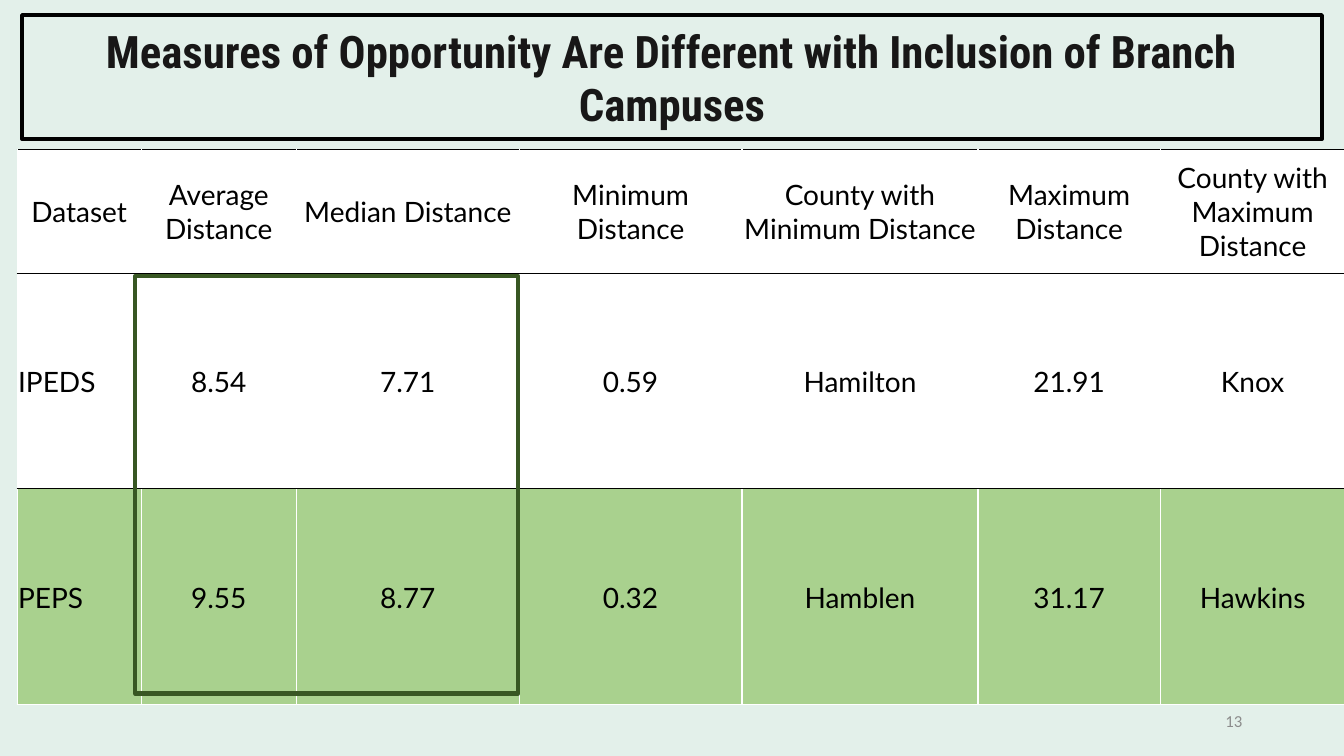
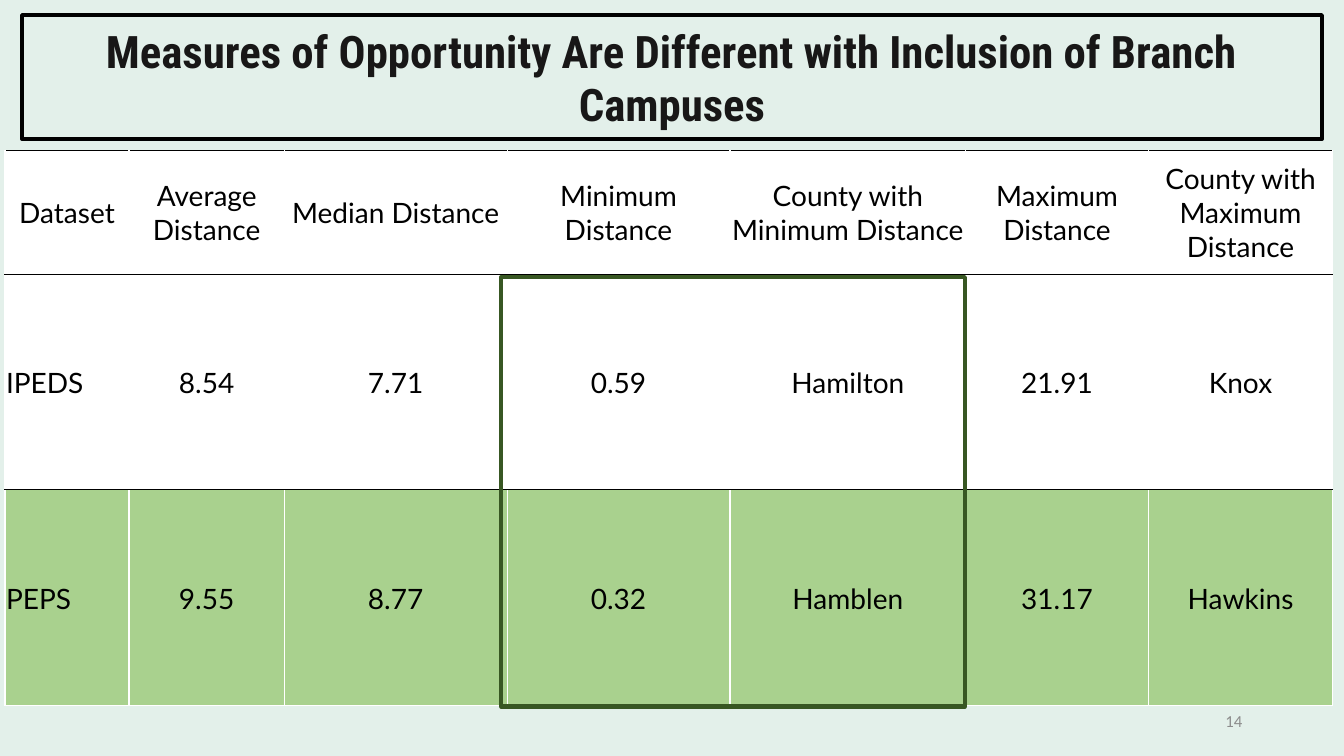
import lxml.etree
import pptx
import pptx.dml.color
import pptx.enum.shapes
import pptx.enum.text
import pptx.oxml.ns
import pptx.util

Inches, Pt = pptx.util.Inches, pptx.util.Pt
qn = pptx.oxml.ns.qn
ALIGN = pptx.enum.text.PP_ALIGN
MIDDLE = pptx.enum.text.MSO_ANCHOR.MIDDLE

COLORS = {
    "background": "E3F0EA",
    "title": "181717",
    "black": "000000",
    "white": "FFFFFF",
    "number": "8C8C8C",
    "row": "A9D18E",
    "highlight": "385723",
}
TITLE = "Measures of Opportunity Are Different with Inclusion of Branch Campuses"
ROWS = [
    ["Dataset", "Average Distance", "Median Distance", "Minimum Distance",
     "County with Minimum Distance", "Maximum Distance", "County with Maximum Distance"],
    ["IPEDS", "8.54", "7.71", "0.59", "Hamilton", "21.91", "Knox"],
    ["PEPS", "9.55", "8.77", "0.32", "Hamblen", "31.17", "Hawkins"],
]
COL_WIDTHS = [1.23, 1.54, 2.21, 2.21, 2.34, 1.81, 1.83]
ROW_HEIGHTS = [1.23, 2.14, 2.14]
# columns: first highlighted column and the one after the last
SLIDES = [
    {"number": "13", "table_at": (0.17, 1.48), "columns": (1, 3), "box_height": 4.14},
    {"number": "14", "table_at": (0.05, 1.49), "columns": (3, 5), "box_height": 4.26},
]


def rgb(name):
    return pptx.dml.color.RGBColor.from_string(COLORS[name])


def box(left, top, width, height):
    return [Inches(v) for v in (left, top, width, height)]


def write(tf, text, font, size, color, bold=False, align=ALIGN.CENTER):
    tf.word_wrap = True
    p = tf.paragraphs[0]
    p.alignment = align
    r = p.add_run()
    r.text = text
    r.font.name, r.font.size, r.font.bold = font, Pt(size), bold
    r.font.color.rgb = rgb(color)


def outline(sp, color):
    sp.line.color.rgb = rgb(color)
    sp.line.width = Pt(3)


def set_borders(cell, **sides):
    """Add 1 pt cell borders; call before the cell gets its fill."""
    tc_pr = cell._tc.get_or_add_tcPr()
    for side in ("L", "R", "T", "B"):
        ln = lxml.etree.SubElement(tc_pr, qn("a:ln" + side), w=str(Pt(1)))
        fill = lxml.etree.SubElement(ln, qn("a:solidFill"))
        lxml.etree.SubElement(fill, qn("a:srgbClr"), val=COLORS[sides[side]])


def add_title(s):
    sp = s.shapes.title
    sp.left, sp.top, sp.width, sp.height = box(0.22, 0.15, 12.89, 1.23)
    outline(sp, "black")
    tf = sp.text_frame
    tf.auto_size = pptx.enum.text.MSO_AUTO_SIZE.NONE
    tf.vertical_anchor = MIDDLE
    write(tf, TITLE, "Roboto Condensed", 32, "title", bold=True)


def add_number(s, number):
    tf = s.shapes.add_textbox(*box(9.42, 6.95, 3, 0.4)).text_frame
    tf.vertical_anchor = MIDDLE
    write(tf, number, "Calibri", 12, "number", align=ALIGN.RIGHT)


def add_distances(s, left, top):
    frame = s.shapes.add_table(len(ROWS), len(COL_WIDTHS),
                               *box(left, top, sum(COL_WIDTHS), sum(ROW_HEIGHTS)))
    table = frame.table
    table.first_row = table.horz_banding = False
    for column, width in zip(table.columns, COL_WIDTHS):
        column.width = Inches(width)
    for i, (texts, height) in enumerate(zip(ROWS, ROW_HEIGHTS)):
        table.rows[i].height = Inches(height)
        last = i == len(ROWS) - 1
        for j, text in enumerate(texts):
            cell = table.cell(i, j)
            set_borders(cell, L="white", R="white", T="black",
                        B="white" if last else "black")
            cell.fill.solid()
            cell.fill.fore_color.rgb = rgb("row" if last else "white")
            cell.margin_left = cell.margin_right = cell.margin_top = Inches(0.01)
            cell.margin_bottom = 0
            cell.vertical_anchor = MIDDLE
            align = ALIGN.LEFT if i and not j else ALIGN.CENTER
            write(cell.text_frame, text, "Lato", 20, "black", align=align)


def add_highlight(s, table_at, columns, height):
    """Frame the body cells of a range of columns."""
    first, end = columns
    left = table_at[0] + sum(COL_WIDTHS[:first]) - 0.06
    top = table_at[1] + ROW_HEIGHTS[0] + 0.03
    width = sum(COL_WIDTHS[first:end]) + 0.05
    sp = s.shapes.add_shape(pptx.enum.shapes.MSO_SHAPE.RECTANGLE,
                            *box(left, top, width, height))
    sp.shadow.inherit = False
    sp.fill.background()
    outline(sp, "highlight")


def main():
    prs = pptx.Presentation()
    prs.slide_width, prs.slide_height = Inches(13.33), Inches(7.5)
    background = prs.slide_master.background.fill
    background.solid()
    background.fore_color.rgb = rgb("background")
    for item in SLIDES:
        s = prs.slides.add_slide(prs.slide_layouts.get_by_name("Title Only"))
        add_title(s)
        add_number(s, item["number"])
        add_distances(s, *item["table_at"])
        add_highlight(s, item["table_at"], item["columns"], item["box_height"])
    prs.save("out.pptx")


if __name__ == "__main__":
    main()
